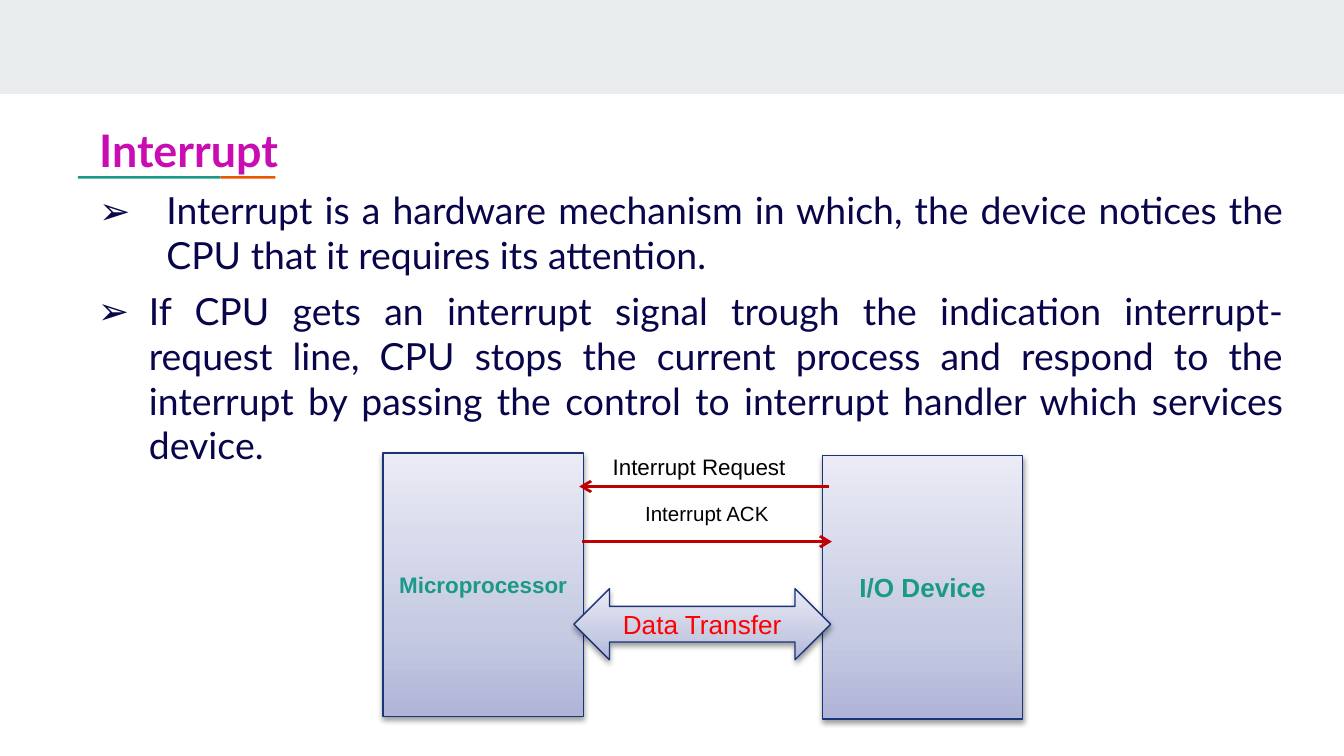
from lxml.etree import SubElement
from pptx import Presentation
from pptx.dml.color import RGBColor
from pptx.enum.shapes import MSO_CONNECTOR, MSO_SHAPE
from pptx.enum.text import MSO_ANCHOR, PP_ALIGN
from pptx.oxml import parse_xml
from pptx.oxml.ns import nsdecls, qn
from pptx.util import Inches, Pt

BAND_GREY = RGBColor(0xE9, 0xED, 0xEE)
TEAL = RGBColor(0x1A, 0x99, 0x88)
ORANGE = RGBColor(0xEB, 0x56, 0x00)
MAGENTA = RGBColor(0xC9, 0x0D, 0xB3)
NAVY = RGBColor(0x08, 0x05, 0x4B)
OUTLINE_BLUE = RGBColor(0x19, 0x34, 0x78)
SIGNAL_RED = RGBColor(0xC0, 0x00, 0x00)
RED = RGBColor(0xFF, 0x00, 0x00)
BLACK = RGBColor(0x00, 0x00, 0x00)
GRADIENT = (
    (0, RGBColor(0xB0, 0xB5, 0xD8)),
    (35, RGBColor(0xC8, 0xCC, 0xE3)),
    (100, RGBColor(0xEA, 0xEB, 0xF5)),
)

BULLETS = (
    ("Interrupt is a hardware mechanism in which, the device notices the CPU "
     "that it requires its attention. ", 0.66, -0.5),
    ("If CPU gets an interrupt signal trough the indication interrupt-request "
     "line, CPU stops the current process and respond to the interrupt by "
     "passing the control to interrupt handler which services device.", 0.53, -0.38),
)


def style_text(paragraph, font_name, size, color, bold=False):
    for run in paragraph.runs:
        run.font.name = font_name
        run.font.size = Pt(size)
        run.font.bold = bold
        run.font.color.rgb = color


def add_bar(slide, left, top, width, height, color):
    bar = slide.shapes.add_shape(
        MSO_SHAPE.RECTANGLE, Inches(left), Inches(top), Inches(width), Inches(height))
    bar.shadow.inherit = False
    bar.fill.solid()
    bar.fill.fore_color.rgb = color
    bar.line.fill.background()


def add_point(paragraph, text, size, color, margin, indent, bold=False, bullet=None):
    paragraph.text = text
    paragraph.alignment = PP_ALIGN.JUSTIFY
    paragraph.space_after = Pt(6)
    style_text(paragraph, "Lato", size, color, bold)
    properties = paragraph._p.get_or_add_pPr()
    properties.set("marL", str(Inches(margin)))
    properties.set("indent", str(Inches(indent)))
    if bullet:
        bullet_color = SubElement(properties, qn("a:buClr"))
        SubElement(bullet_color, qn("a:srgbClr"), val=str(color))
        SubElement(properties, qn("a:buFont"), typeface="Lato")
        SubElement(properties, qn("a:buChar"), char=bullet)


def add_explanation(slide):
    body = slide.shapes.add_textbox(Inches(0.48), Inches(0.81), Inches(9.17), Inches(3.94))
    frame = body.text_frame
    frame.word_wrap = True
    frame.margin_left = frame.margin_right = Inches(0.1)
    frame.margin_top = frame.margin_bottom = Inches(0.1)
    add_point(frame.paragraphs[0], "Interrupt ", 24, MAGENTA, 0.66, -0.5, bold=True)
    for text, margin, indent in BULLETS:
        add_point(frame.add_paragraph(), text, 20, NAVY, margin, indent, bullet="➢")


def add_block(slide, kind, left, top, width, height, text, size, color, bold=False):
    block = slide.shapes.add_shape(
        kind, Inches(left), Inches(top), Inches(width), Inches(height))
    block.fill.gradient()
    block.fill.gradient_angle = 90
    stops = block._element.spPr.find(qn("a:gradFill")).find(qn("a:gsLst"))
    stops.clear()
    for position, stop_color in GRADIENT:
        stop = SubElement(stops, qn("a:gs"), pos=str(position * 1000))
        SubElement(stop, qn("a:srgbClr"), val=str(stop_color))
    block.line.color.rgb = OUTLINE_BLUE
    block.line.width = Pt(0.75)
    block.shadow.inherit = False
    block._element.spPr.find(qn("a:effectLst")).append(parse_xml(
        f'<a:outerShdw {nsdecls("a")} blurRad="{Pt(3.1)}" dist="{Pt(1.6)}" '
        'dir="5400000" rotWithShape="0"><a:srgbClr val="000000">'
        '<a:alpha val="38000"/></a:srgbClr></a:outerShdw>'))
    frame = block.text_frame
    frame.text = text
    frame.vertical_anchor = MSO_ANCHOR.MIDDLE
    frame.paragraphs[0].alignment = PP_ALIGN.CENTER
    style_text(frame.paragraphs[0], "Arial", size, color, bold)


def add_signal(slide, start, end, height):
    signal = slide.shapes.add_connector(
        MSO_CONNECTOR.STRAIGHT, Inches(start), Inches(height), Inches(end), Inches(height))
    signal.line.color.rgb = SIGNAL_RED
    signal.line.width = Pt(1.5)
    SubElement(signal.line._get_or_add_ln(), qn("a:tailEnd"), type="arrow")
    SubElement(signal._element.spPr, qn("a:effectLst"))


def add_label(slide, left, top, height, text, size, alignment):
    label = slide.shapes.add_textbox(Inches(left), Inches(top), Inches(1.58), Inches(height))
    frame = label.text_frame
    frame.word_wrap = True
    frame.text = text
    frame.paragraphs[0].alignment = alignment
    style_text(frame.paragraphs[0], "Arial", size, BLACK)


def add_handshake(slide):
    add_block(slide, MSO_SHAPE.RECTANGLE, 2.85, 3.37, 1.49, 1.96,
              "Microprocessor", 12, TEAL, bold=True)
    add_block(slide, MSO_SHAPE.RECTANGLE, 6.12, 3.39, 1.49, 1.96,
              "I/O Device", 14, TEAL, bold=True)
    add_signal(slide, 6.17, 4.31, 3.62)
    add_signal(slide, 4.33, 6.19, 4.03)
    add_label(slide, 4.46, 3.32, 0.3, "Interrupt Request", 12, PP_ALIGN.LEFT)
    add_label(slide, 4.47, 3.68, 0.29, "Interrupt ACK", 11, PP_ALIGN.CENTER)
    add_block(slide, MSO_SHAPE.LEFT_RIGHT_ARROW, 4.27, 4.38, 1.91, 0.53,
              "Data Transfer", 14, RED)


def main():
    presentation = Presentation()
    presentation.slide_width = Inches(10)
    presentation.slide_height = Inches(10) * 9 // 16
    slide = presentation.slides.add_slide(presentation.slide_layouts[6])
    add_bar(slide, 0, 0, 10, 0.7, BAND_GREY)
    add_bar(slide, 1.64, 1.31, 0.41, 0.02, ORANGE)
    add_bar(slide, 0.58, 1.31, 1.06, 0.02, TEAL)
    add_explanation(slide)
    add_handshake(slide)
    presentation.save("out.pptx")


if __name__ == "__main__":
    main()
